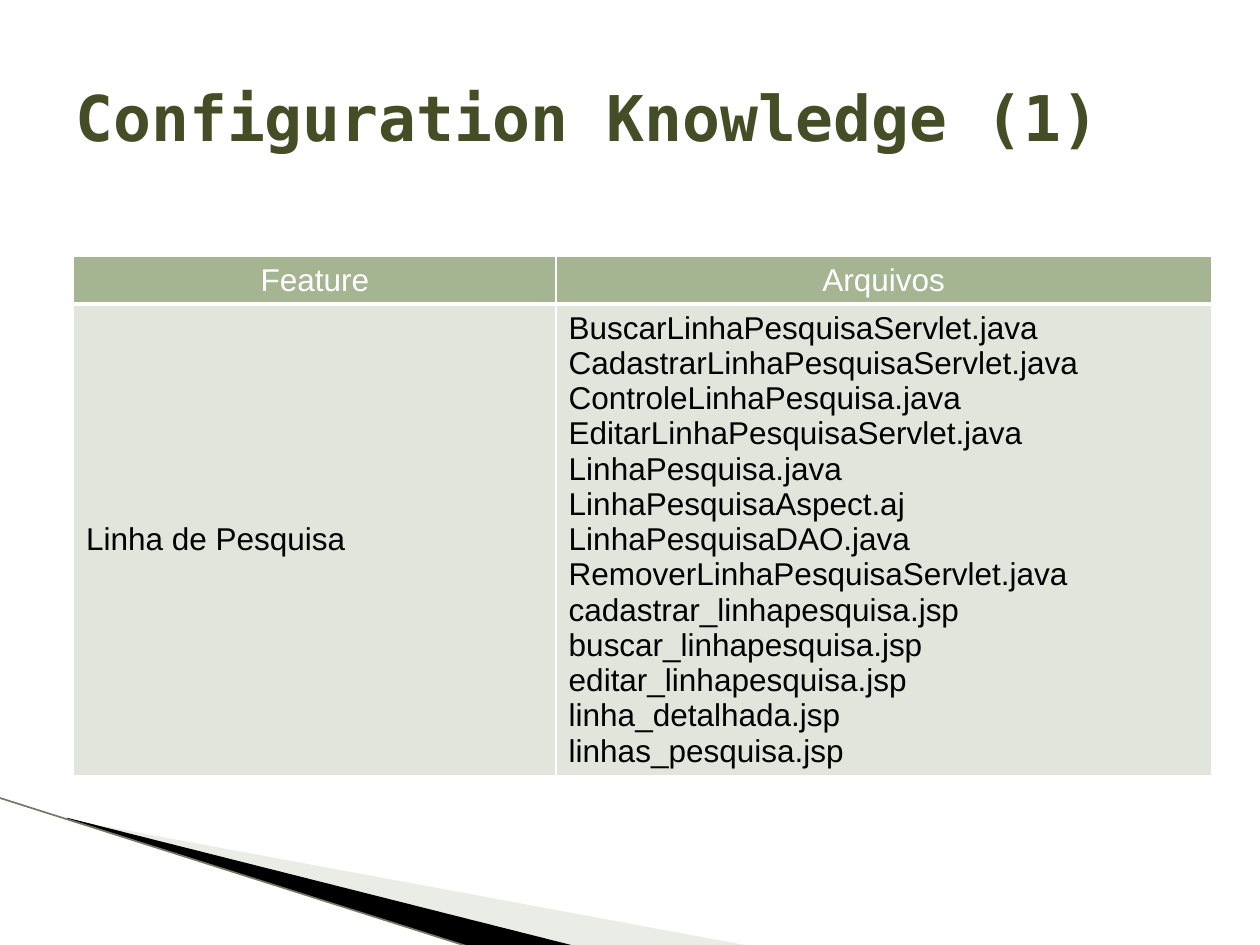
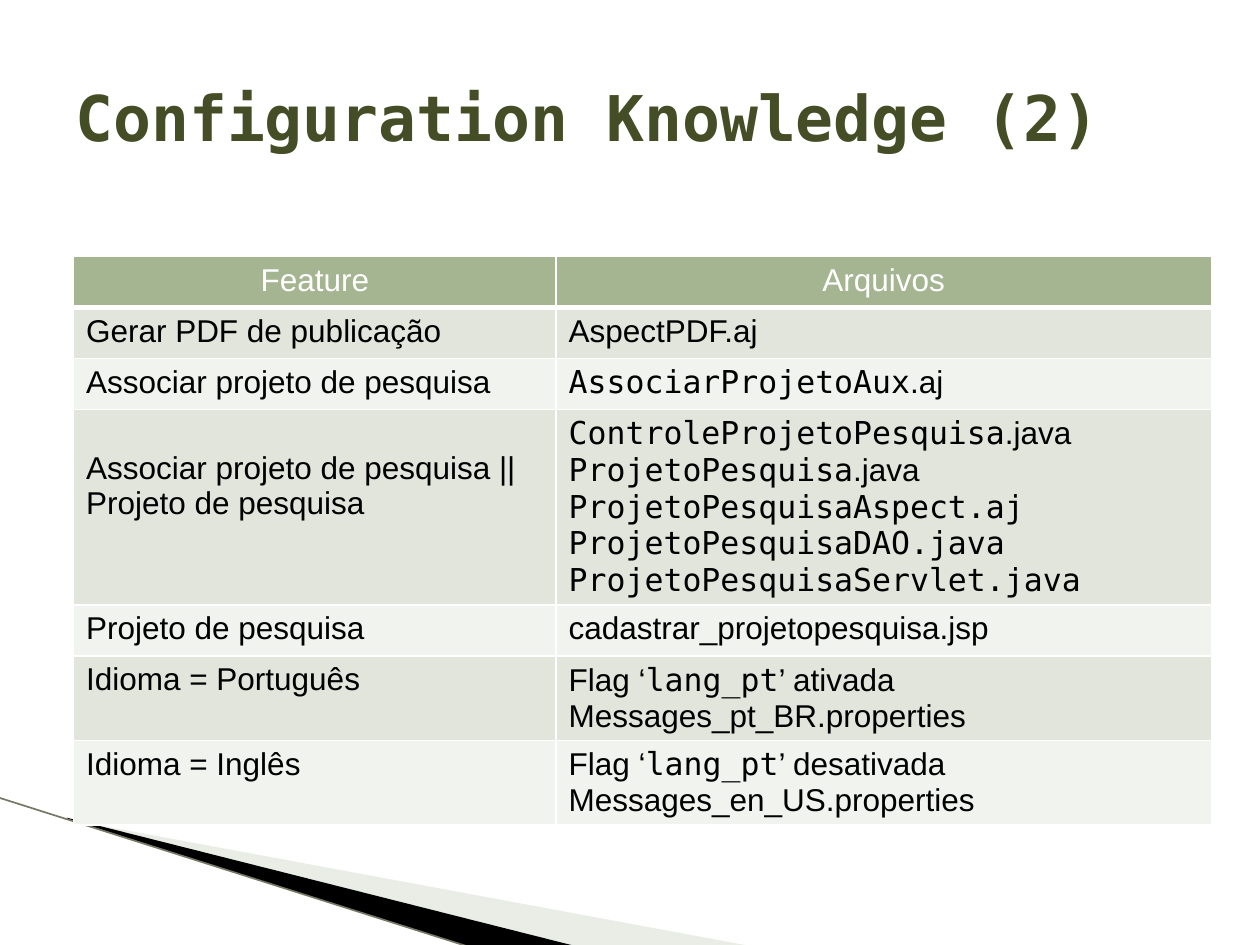
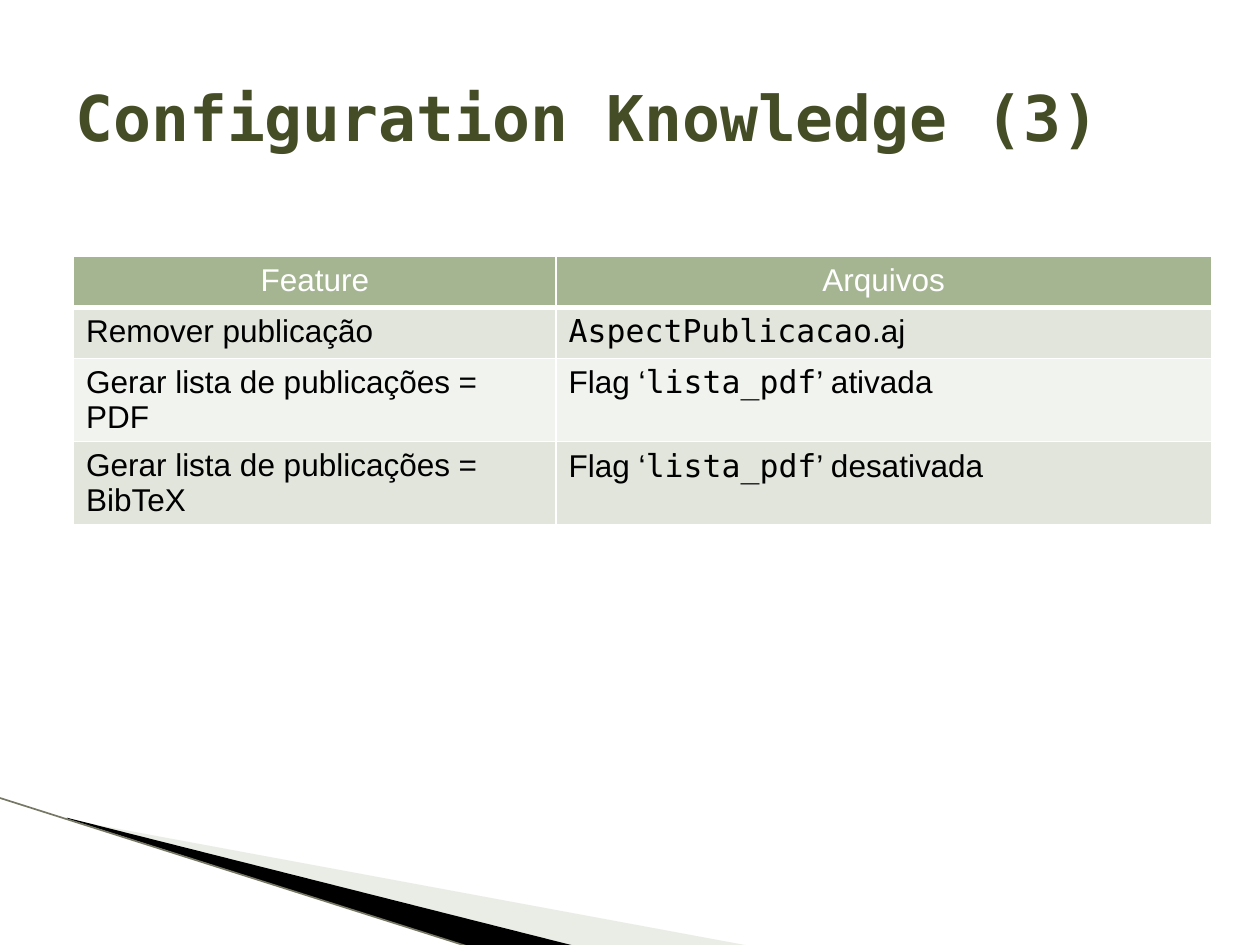
import pptx
import pptx.dml.color
import pptx.enum.shapes
import pptx.enum.text
import pptx.oxml
import pptx.util
from lxml import etree

Pt = pptx.util.Pt
Align = pptx.enum.text.PP_ALIGN
Anchor = pptx.enum.text.MSO_ANCHOR
A = "http://schemas.openxmlformats.org/drawingml/2006/main"

SANS, MONO = "Arial", "DejaVu Sans Mono"
OLIVE, GREEN, WHITE, BLACK = "444D26", "A5B592", "FFFFFF", "000000"
BANDS = ["E1E5DC", "F0F3EE"]
PALE_WEDGE, EDGE = "CBD4C0", "777766"
LINE_HEIGHT, CELL_MARGIN = 20.1, 3.6
COLUMN_WIDTHS = [275.8, 374.4]

WEDGES = [
    (PALE_WEDGE, 40, [(39.6, 468.5), (428.4, 540.5), (328.3, 540.5), (39.6, 468)]),
    (BLACK, 100, [(38.2, 467.3), (329, 540.7), (267.8, 541), (38.9, 468)]),
]

# Each row: feature, lines it is pushed down, files. Backticks enclose monospaced text.
TABLES = [
    ([20.9, 211], [
        ("Linha de Pesquisa", 6, [
            "BuscarLinhaPesquisaServlet.java",
            "CadastrarLinhaPesquisaServlet.java",
            "ControleLinhaPesquisa.java",
            "EditarLinhaPesquisaServlet.java",
            "LinhaPesquisa.java",
            "LinhaPesquisaAspect.aj",
            "LinhaPesquisaDAO.java",
            "RemoverLinhaPesquisaServlet.java",
            "cadastrar_linhapesquisa.jsp",
            "buscar_linhapesquisa.jsp",
            "editar_linhapesquisa.jsp",
            "linha_detalhada.jsp",
            "linhas_pesquisa.jsp"]),
    ]),
    ([29.2] * 7, [
        ("Gerar PDF de publicação", 0, ["AspectPDF.aj"]),
        ("Associar projeto de pesquisa", 0, ["`AssociarProjetoAux`.aj"]),
        ("Associar projeto de pesquisa || Projeto de pesquisa", 1, [
            "`ControleProjetoPesquisa`.java",
            "`ProjetoPesquisa`.java",
            "`ProjetoPesquisaAspect.aj`",
            "`ProjetoPesquisaDAO.java`",
            "`ProjetoPesquisaServlet.java`"]),
        ("Projeto de pesquisa", 0, ["cadastrar_projetopesquisa.jsp"]),
        ("Idioma = Português", 0, ["Flag ‘`lang_pt`’ ativada", "Messages_pt_BR.properties"]),
        ("Idioma = Inglês", 0, ["Flag ‘`lang_pt`’ desativada", "Messages_en_US.properties"]),
    ]),
    ([29.2] * 4, [
        ("Remover publicação", 0, ["`AspectPublicacao`.aj"]),
        ("Gerar lista de publicações = PDF", 0, ["Flag ‘`lista_pdf`’ ativada"]),
        ("Gerar lista de publicações = BibTeX", 0, ["Flag ‘`lista_pdf`’ desativada"]),
    ]),
]


def rgb(value):
    return pptx.dml.color.RGBColor.from_string(value)


def write(frame, lines, size=18, color=BLACK, bold=False, align=Align.LEFT):
    """Write one paragraph per line; text between backticks is monospaced."""
    for index, line in enumerate(lines):
        para = frame.add_paragraph() if index else frame.paragraphs[0]
        para.alignment = align
        for part, text in enumerate(line.split("`")):
            if text:
                span = para.add_run()
                span.text = text
                span.font.name = MONO if part % 2 else SANS
                span.font.size = Pt(size)
                span.font.bold = bold
                span.font.color.rgb = rgb(color)


deck = pptx.Presentation()
deck.slide_width, deck.slide_height = Pt(720), Pt(540)

for number, (heights, features) in enumerate(TABLES, start=1):
    page = deck.slides.add_slide(deck.slide_layouts[6])
    page.background.fill.solid()
    page.background.fill.fore_color.rgb = rgb(WHITE)

    # Corner decoration
    for color, opacity, points in WEDGES:
        corners = [(Pt(x), Pt(y)) for x, y in points]
        builder = page.shapes.build_freeform(*corners[0])
        builder.add_line_segments(corners[1:])
        wedge = builder.convert_to_shape()
        wedge.shadow.inherit = False
        wedge.line.fill.background()
        wedge.fill.solid()
        wedge.fill.fore_color.rgb = rgb(color)
        if opacity < 100:
            tint = wedge.element.spPr.find(f".//{{{A}}}srgbClr")
            etree.SubElement(tint, f"{{{A}}}alpha", val=str(opacity * 1000))
    edge = page.shapes.add_connector(
        pptx.enum.shapes.MSO_CONNECTOR.STRAIGHT, Pt(-0.7), Pt(455.8), Pt(267.8), Pt(541))
    edge.line.color.rgb = rgb(EDGE)
    edge.line.width = Pt(0.95)
    etree.SubElement(edge.element.spPr, f"{{{A}}}effectLst")

    # Feature table
    table = page.shapes.add_table(
        len(heights), 2, Pt(42), Pt(146.4), Pt(sum(COLUMN_WIDTHS)), Pt(sum(heights))).table
    for column, width in zip(table.columns, COLUMN_WIDTHS):
        column.width = Pt(width)
    for row, height in zip(table.rows, heights):
        row.height = Pt(height)

    for column, heading in enumerate(["Feature", "Arquivos"]):
        write(table.cell(0, column).text_frame, [heading], color=WHITE, align=Align.CENTER)
    for row, (feature, lines_down, files) in enumerate(features, start=1):
        write(table.cell(row, 0).text_frame, [feature])
        table.cell(row, 0).margin_top = Pt(CELL_MARGIN + lines_down * LINE_HEIGHT)
        write(table.cell(row, 1).text_frame, files)

    for row in range(len(heights)):
        for column in range(2):
            cell = table.cell(row, column)
            cell.fill.solid()
            cell.fill.fore_color.rgb = rgb(BANDS[(row - 1) % 2] if row else GREEN)
            for index, side in enumerate("LRTB"):
                under_header = (row, side) in [(0, "B"), (1, "T")]
                border = pptx.oxml.parse_xml(
                    f'<a:ln{side} xmlns:a="{A}" w="{Pt(3 if under_header else 1)}">'
                    f'<a:solidFill><a:srgbClr val="{WHITE}"/></a:solidFill></a:ln{side}>')
                cell._tc.get_or_add_tcPr().insert(index, border)

    # Title
    title = page.shapes.add_textbox(Pt(36), Pt(21.6), Pt(648), Pt(90)).text_frame
    title.word_wrap = True
    title.vertical_anchor = Anchor.MIDDLE
    write(title, [f"`Configuration Knowledge ({number})`"], size=36, color=OLIVE, bold=True)

deck.save("out.pptx")
